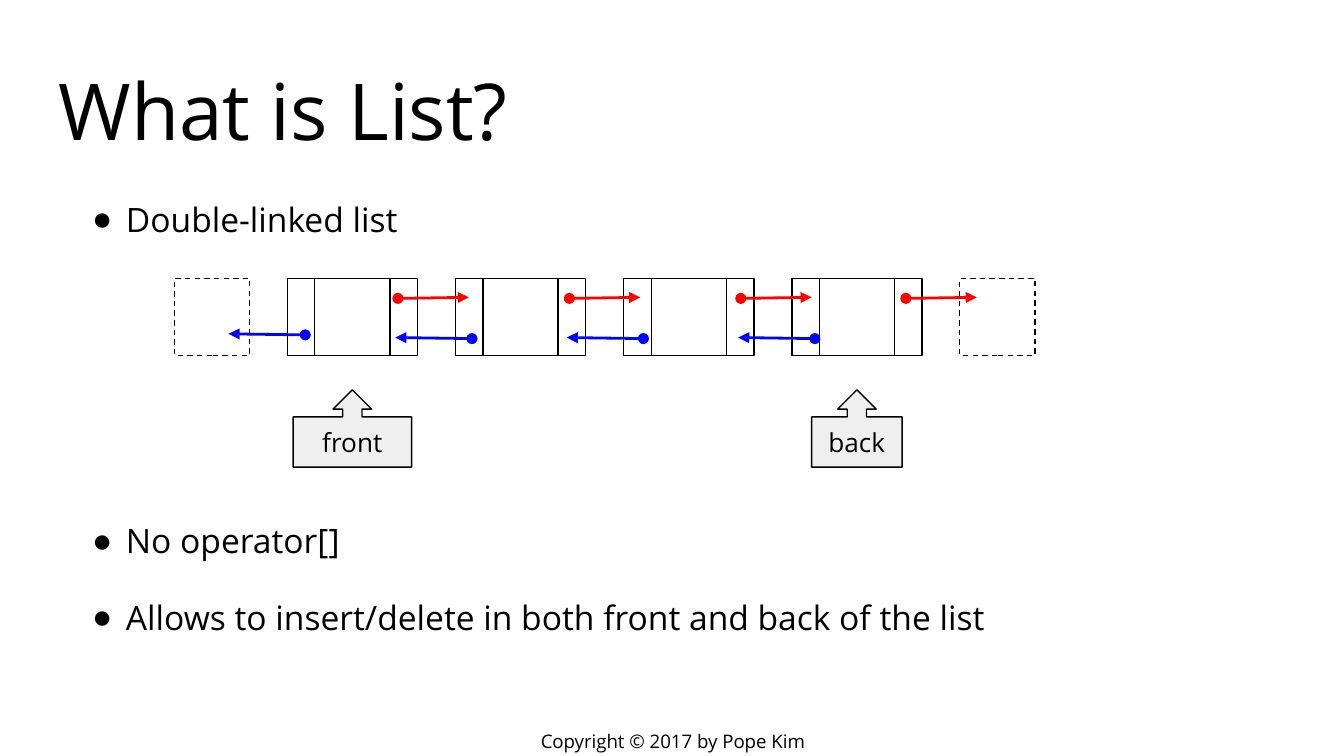
"""Build a slide that explains a double-linked list."""
from lxml.etree import SubElement
from pptx import Presentation
from pptx.dml.color import RGBColor
from pptx.enum.dml import MSO_LINE
from pptx.enum.shapes import MSO_CONNECTOR, MSO_SHAPE
from pptx.enum.text import MSO_ANCHOR, MSO_AUTO_SIZE, PP_ALIGN
from pptx.oxml.ns import qn
from pptx.util import Cm, Pt

rgb = RGBColor.from_string


def write(sp, *lines, size, align=PP_ALIGN.LEFT, anchor=MSO_ANCHOR.MIDDLE, bullet=None):
    tf = sp.text_frame
    tf.word_wrap = True
    tf.auto_size = MSO_AUTO_SIZE.NONE
    tf.vertical_anchor = anchor
    tf.margin_left = tf.margin_right = tf.margin_top = tf.margin_bottom = Cm(0.25)
    for i, line in enumerate(lines):
        p = tf.add_paragraph() if i else tf.paragraphs[0]
        p.alignment = align
        p.space_before = Pt(0)
        r = p.add_run()
        r.text = line
        r.font.name = "Open Sans"
        r.font.size = Pt(size)
        r.font.color.rgb = rgb("000000")
        if bullet:
            p.line_spacing = 1.15
            p.space_after = Pt(16)
            pPr = p._p.get_or_add_pPr()
            pPr.set("marL", str(Cm(1.27)))
            pPr.set("indent", str(-Cm(0.64)))
            SubElement(SubElement(pPr, qn("a:buClr")), qn("a:srgbClr"), val="000000")
            SubElement(pPr, qn("a:buChar"), char=bullet)


def add_box(shapes, x, y, w, h, kind=MSO_SHAPE.RECTANGLE, fill=None, dash=None):
    sp = shapes.add_shape(kind, Cm(x), Cm(y), Cm(w), Cm(h))
    sp.shadow.inherit = False
    if fill:
        sp.fill.solid()
        sp.fill.fore_color.rgb = rgb(fill)
    else:
        sp.fill.background()
    sp.line.color.rgb = rgb("000000")
    sp.line.width = Pt(0.75)
    if dash:
        sp.line.dash_style = dash
    return sp


prs = Presentation()
prs.slide_width, prs.slide_height = Cm(25.4), Cm(14.29)
s = prs.slides.add_slide(prs.slide_layouts[3])

title, intro, features = s.placeholders
for sp, y, h in [(title, 0.89, 2.31), (intro, 3.4, 9.32), (features, 9.47, 3.81)]:
    sp.left, sp.top, sp.width, sp.height = Cm(0.86), Cm(y), Cm(23.67), Cm(h)
write(title, "What is List?", size=42, anchor=MSO_ANCHOR.BOTTOM)
write(intro, "Double-linked list", size=18, anchor=MSO_ANCHOR.TOP, bullet="●")
write(features, "No operator[]", "Allows to insert/delete in both front and back of the list",
      size=18, anchor=MSO_ANCHOR.TOP, bullet="●")

footer = s.shapes.add_textbox(Cm(9.58), Cm(13.74), Cm(6.27), Cm(0.53))
write(footer, "Copyright © 2017 by Pope Kim", size=10, align=PP_ALIGN.CENTER)

node_top, node_h, link_w, value_w = 5.26, 1.46, 0.52, 1.42
for i in range(4):
    node = s.shapes.add_group_shape()
    x = 5.43 + 3.18 * i
    for w in (link_w, value_w, link_w):
        add_box(node.shapes, x, node_top, w, node_h)
        x += w

for x in (3.3, 18.14):
    add_box(s.shapes, x, node_top, value_w, node_h, dash=MSO_LINE.DASH)

for text, x, w in [("front", 5.54, 2.24), ("back", 15.34, 1.71)]:
    callout = add_box(s.shapes, x, 7.37, w, node_h, MSO_SHAPE.UP_ARROW_CALLOUT, "EFEFEF")
    for i, value in enumerate((0.25, 0.25, 0.25, 0.65)):
        callout.adjustments[i] = value
    write(callout, text, size=14, align=PP_ALIGN.CENTER)

next_links = [(x, 5.64, 1.34, "FF0000") for x in (7.52, 10.76, 14, 17.12)]
prev_links = [(x, y, -1.45, "0000FF")
              for x, y in [(5.77, 6.33), (8.92, 6.4), (12.16, 6.4), (15.4, 6.4)]]
for x, y, dx, color in next_links + prev_links:
    link = s.shapes.add_connector(MSO_CONNECTOR.STRAIGHT, Cm(x), Cm(y), Cm(x + dx), Cm(y - 0.02))
    link.line.color.rgb = rgb(color)
    link.line.width = Pt(1.5)
    ln = link.line._get_or_add_ln()
    SubElement(ln, qn("a:headEnd"), type="oval")
    SubElement(ln, qn("a:tailEnd"), type="triangle")
    SubElement(link._element.spPr, qn("a:effectLst"))

prs.save("out.pptx")
